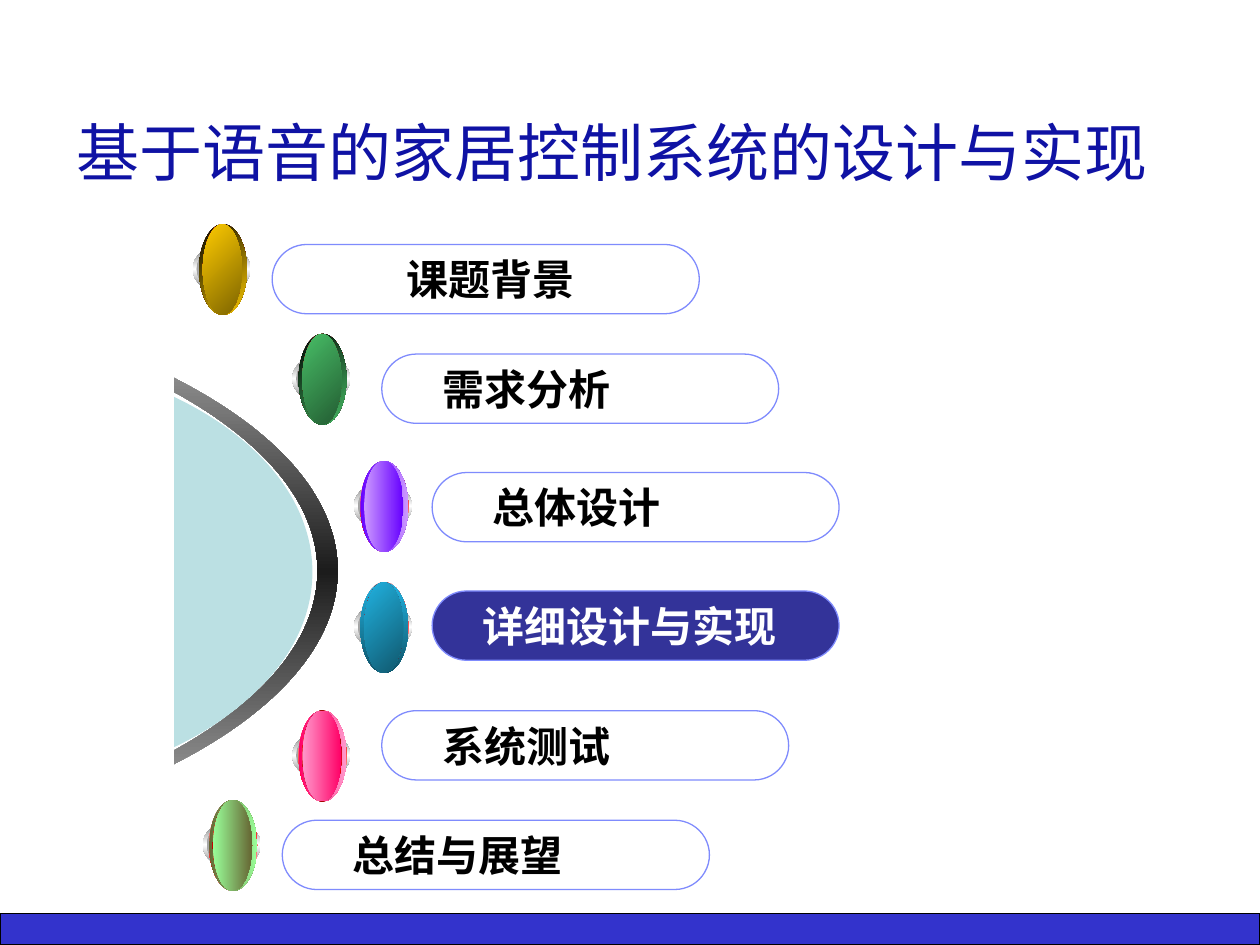
from lxml.etree import SubElement
from pptx import Presentation
from pptx.dml.color import RGBColor
from pptx.enum.shapes import MSO_SHAPE
from pptx.enum.text import MSO_ANCHOR, MSO_AUTO_SIZE, PP_ALIGN
from pptx.oxml.ns import qn
from pptx.util import Inches, Pt

FONT = "Noto Sans CJK SC"
TITLE = "基于语音的家居控制系统的设计与实现"

# text, pill (x, y, width), text x, fill, text colour, separate text box (x, width)
ITEMS = [
    ("课题背景", (2.16, 1.94, 3.39), 3.23, None, "000000", (2.56, 2.76)),
    ("需求分析", (3.03, 2.81, 3.15), 3.5, None, "000000", None),
    ("总体设计", (3.43, 3.75, 3.23), 3.9, "FFFFFF", "000000", None),
    ("详细设计与实现", (3.43, 4.69, 3.23), 3.82, "333399", "FFFFFF", None),
    ("系统测试", (3.03, 5.64, 3.23), 3.51, None, "000000", (3.11, 2.99)),
    ("总结与展望", (2.24, 6.51, 3.39), 2.79, None, "000000", None),
]
RED = ("8A0000", "FF0000", "8A0000")
# x, y, rim colours, rim angle, colours under the face, face colours, face angle
BEADS = [
    (1.58, 1.78, ("000000", "FFCC00"), 45, RED, ("FFCC00", "7C6300"), 45),
    (2.37, 2.65, ("000000", "48BE67"), 45, RED, ("48BE67", "235C32"), 45),
    (2.86, 3.66, ("6600FF", "CC99FF"), 0, None, ("CC99FF", "6600FF"), 0),
    (2.86, 4.62, ("21B3E1", "0F5368"), 90, RED, ("21B3E1", "10576D"), 45),
    (2.37, 5.64, ("FF0066", "FF99CC"), 0, RED, ("FF99CC", "FF0066"), 0),
    (1.66, 6.35, ("666633", "99FF99"), 0, RED, ("99FF99", "666633"), 0),
]
# start point, then either a line end or the three points of a cubic curve
DISC = [
    [(-0.28, 2.8)],
    [(1.25, 2.8), (2.48, 3.58), (2.48, 4.54)],
    [(2.48, 5.5), (1.25, 6.28), (-0.28, 6.28)],
]
ARC = [
    [(-2.68, 2.24)],
    [(0.2, 2.26), (2.52, 3.28), (2.52, 4.53)],
    [(2.52, 5.79), (0.2, 6.81), (-2.68, 6.82)],
    [(-2.68, 6.9)],
    [(0.29, 6.88), (2.68, 5.82), (2.68, 4.53)],
    [(2.68, 3.24), (0.29, 2.19), (-2.68, 2.17)],
]


def paint(shape, fill=None, line=None, angle=0):
    """Set a plain fill, a gradient (tuple of colours) or none, and the line."""
    shape.shadow.inherit = False
    if isinstance(fill, tuple):
        shape.fill.gradient()
        grad = shape.fill._xPr.find(qn("a:gradFill"))
        for child in list(grad):
            grad.remove(child)
        stops = SubElement(grad, qn("a:gsLst"))
        for i, tone in enumerate(fill):
            stop = SubElement(stops, qn("a:gs"), pos=str(100000 * i // (len(fill) - 1)))
            SubElement(stop, qn("a:srgbClr"), val=tone)
        SubElement(grad, qn("a:lin"), ang=str(angle * 60000), scaled="0")
    elif fill:
        shape.fill.solid()
        shape.fill.fore_color.rgb = RGBColor.from_string(fill)
    else:
        shape.fill.background()
    if line:
        shape.line.color.rgb = RGBColor.from_string(line)
        shape.line.width = Pt(0.75)
    else:
        shape.line.fill.background()


def draw(parent, kind, box, fill=None, line=None, angle=0):
    """Add a preset shape at a box given in inches."""
    shape = parent.add_shape(kind, *map(Inches, box))
    paint(shape, fill, line, angle)
    return shape


def outline(parent, parts, fill, angle=0):
    """Add a closed outline and bend its three-point parts into cubic curves."""
    ends = [tuple(map(Inches, part[-1])) for part in parts]
    build = parent.build_freeform(*ends[0])
    build.add_line_segments(ends[1:], close=True)
    shape = build.convert_to_shape()
    sides = list(shape._element.iter(qn("a:lnTo")))
    for side, part in zip(sides, parts[1:]):
        if len(part) == 3:
            curve = SubElement(side.getparent(), qn("a:cubicBezTo"))
            for x, y in part:
                SubElement(curve, qn("a:pt"), x=str(Inches(x) - shape.left),
                           y=str(Inches(y) - shape.top))
            side.getparent().replace(side, curve)
    paint(shape, fill, angle=angle)


def write(frame, text, size, tone, bold=False, anchor=MSO_ANCHOR.MIDDLE, inset=0.1):
    """Write one left-aligned run into a text frame."""
    frame.word_wrap = True
    frame.auto_size = MSO_AUTO_SIZE.NONE
    frame.vertical_anchor = anchor
    frame.margin_left = Inches(inset)
    para = frame.paragraphs[0]
    para.alignment = PP_ALIGN.LEFT
    run = para.add_run()
    run.text = text
    font = run.font
    font.size, font.bold, font.name = Pt(size), bold, FONT
    font.color.rgb = RGBColor.from_string(tone)
    SubElement(run._r.get_or_add_rPr(), qn("a:ea"), typeface=FONT)


def bead(parent, x, y, rim, turn, under, face, tilt):
    """Draw one layered bead as a group."""
    layers = [
        ((x - 0.05, y + 0.17, 0.46, 0.37), ("767676", "FFFFFF", "767676"), 90),
        ((x - 0.02, y + 0.19, 0.4, 0.33), ("A2A2A2", "FFFFFF", "A2A2A2"), 0),
        ((x, y, 0.38, 0.72), ("FFFFFF", "FF0000", "FFFFFF"), 45),
        ((x, y, 0.38, 0.72), rim, turn),
        ((x + 0.03, y, 0.31, 0.72), under, 315),
        ((x + 0.03, y, 0.31, 0.72), face, tilt),
    ]
    group = parent.add_group_shape().shapes
    for box, fill, angle in layers:
        if fill:
            draw(group, MSO_SHAPE.OVAL, box, fill, angle=angle)


def main():
    """Build the slide and save it."""
    deck = Presentation()
    deck.slide_width, deck.slide_height = Inches(10), Inches(7.5)
    slide = deck.slides.add_slide(deck.slide_layouts[5])
    shapes = slide.shapes
    title = shapes.title
    title.left, title.top, title.width, title.height = map(Inches, (0.51, 0.3, 8.85, 1.25))
    write(title.text_frame, TITLE, 36, "0F12A4", anchor=MSO_ANCHOR.BOTTOM)
    draw(shapes, MSO_SHAPE.RECTANGLE, (0, 7.25, 10, 0.25), "3333CC", "000000")
    outline(shapes, DISC, "BBE0E3")
    outline(shapes, ARC, ("C5C5C5", "1C1C1C", "C5C5C5"), 90)
    draw(shapes, MSO_SHAPE.RECTANGLE, (0, 1.71, 1.38, 5.35), "FFFFFF")
    for text, (x, y, wide), start, fill, tone, label in ITEMS:
        pill = draw(shapes, MSO_SHAPE.ROUNDED_RECTANGLE, (x, y, wide, 0.55), fill, "7F8BFD")
        pill.adjustments[0] = 0.5
        host, left = pill, x + 0.07
        if label:
            left, span = label
            host = shapes.add_textbox(*map(Inches, (left, y, span, 0.55)))
        write(host.text_frame, text, 24, tone, True, inset=start - left)
    for spot in BEADS:
        bead(shapes, *spot)
    deck.save("out.pptx")


if __name__ == "__main__":
    main()
